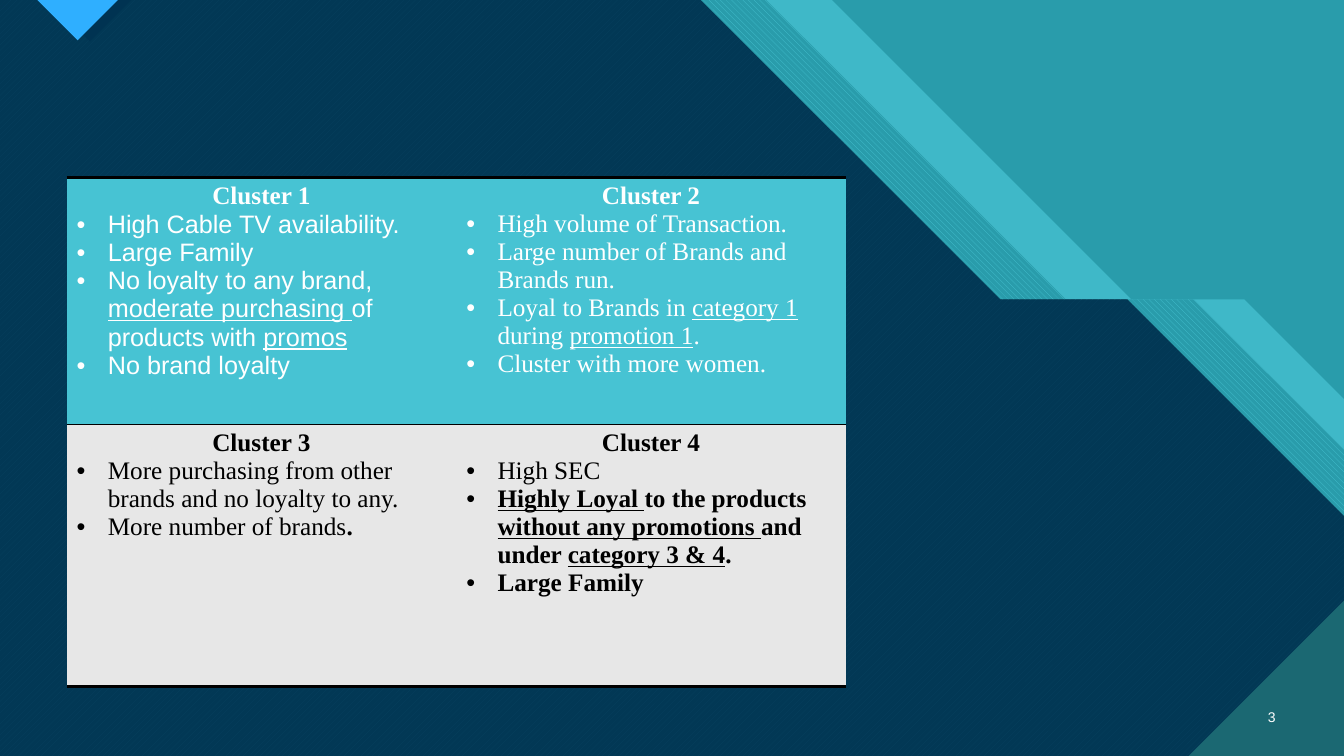
from lxml import etree
from pptx import Presentation
from pptx import util as u
from pptx.dml import color
from pptx.enum import dml, shapes, text
from pptx.oxml import ns

WIDTH, HEIGHT = 13.33, 7.5
NAVY, TEAL, AQUA, DEEP = "003352", "299CAB", "47C3D3", "1B6872"
WHITE, BLACK, GREY, SKY = "FFFFFF", "000000", "E7E7E7", "2FAFFF"
SERIF, SANS = "Times New Roman", "Arial"
NO_STYLE = "{2D5ABB26-0587-4C30-8999-92F81FD0307C}"

CLUSTERS = [
    [("Cluster 1", SANS, ["High Cable TV availability.", "Large Family",
      "No loyalty to any brand, _moderate purchasing _of products with _promos_",
      "No brand loyalty"]),
     ("Cluster 2", SERIF, ["High volume of Transaction.",
      "Large number of Brands and Brands run.",
      "Loyal to Brands in _category 1 _during _promotion 1_.",
      "Cluster with more women."])],
    [("Cluster 3", SERIF, ["More purchasing from other brands and no loyalty to any.",
      "More number of brands*.*"]),
     ("Cluster 4", SERIF, ["High SEC",
      "*_Highly Loyal _to the products _without any promotions _"
      "and under _category 3 & 4_.*",
      "*Large Family*"])],
]
ROW_STYLES = [(AQUA, WHITE, 1), (GREY, BLACK, 2)]


def rgb(value):
    return color.RGBColor.from_string(value)


def element(parent, tag, **attributes):
    return etree.SubElement(parent, ns.qn(tag), attributes)


def polygon(page, points, fill, alpha=None, pattern=None):
    points = [(u.Inches(x), u.Inches(y)) for x, y in points]
    builder = page.shapes.build_freeform(*points[0])
    builder.add_line_segments(points[1:], close=True)
    shape = builder.convert_to_shape()
    shape.shadow.inherit = False
    shape.line.fill.background()
    if pattern:
        shape.fill.patterned()
        shape.fill.pattern = pattern
        shape.fill.fore_color.rgb, shape.fill.back_color.rgb = map(rgb, fill)
    else:
        shape.fill.solid()
        shape.fill.fore_color.rgb = rgb(fill)
    if alpha:
        tint = shape.fill._xPr.find(".//" + ns.qn("a:srgbClr"))
        element(tint, "a:alpha", val=str(alpha * 1000))


def backdrop(page, left, top, width, height):
    right, bottom = left + width, top + height
    step = 2.97

    def folded(start, knee):
        return [(left, top), (left + start, top), (left + start + step, top + step),
                (left + knee, top + step), (right, top + step + width - knee),
                (right, bottom), (left, bottom)]

    polygon(page, [(left, top), (right, top), (right, bottom), (left, bottom)], TEAL)
    polygon(page, folded(8.25, 12.34), AQUA, alpha=74)
    polygon(page, folded(7.6, 11.84), (AQUA, TEAL),
            pattern=dml.MSO_PATTERN.WIDE_DOWNWARD_DIAGONAL)
    navy = folded(6.95, 11.18)
    polygon(page, navy, (AQUA, DEEP), pattern=dml.MSO_PATTERN.WIDE_UPWARD_DIAGONAL)
    polygon(page, navy, NAVY, alpha=90)
    for start, size, fill in [(0.48, 0.41, NAVY), (0.37, 0.4, SKY)]:
        polygon(page, [(left + start, top), (left + start + size, top + size),
                       (left + start + 2 * size, top)], fill)
    corner = 1.54
    polygon(page, [(right - corner, bottom), (right, bottom),
                   (right, bottom - corner)], DEEP)


def style(span, font, size, fill, bold=False, underline=False):
    span.font.name, span.font.size = font, u.Pt(size)
    span.font.bold, span.font.underline = bold, underline
    span.font.color.rgb = rgb(fill)


def write_marked(para, words, font, fill):
    underline = False
    for part, chunk in enumerate(words.split("*")):
        for index, piece in enumerate(chunk.split("_")):
            underline ^= index > 0
            if piece:
                span = para.add_run()
                span.text = piece
                style(span, font, 18, fill, part % 2 == 1, underline)


def write_cluster(cell, title, font, items, fill):
    frame = cell.text_frame
    frame.text = title
    frame.paragraphs[0].alignment = text.PP_ALIGN.CENTER
    style(frame.paragraphs[0].runs[0], SERIF, 18, fill, bold=True)
    indent = u.Inches(0.31)
    for item in items:
        para = frame.add_paragraph()
        layout = para._p.get_or_add_pPr()
        layout.set("marL", str(indent))
        layout.set("indent", str(-indent))
        element(layout, "a:buFont", typeface=SANS)
        element(layout, "a:buChar", char="•")
        write_marked(para, item, font, fill)


def add_border(cell, tag, points):
    properties = cell._tc.get_or_add_tcPr()
    line = element(properties, tag, w=str(u.Pt(points)))
    element(element(line, "a:solidFill"), "a:srgbClr", val=BLACK)


def cluster_table(page, left, top, width, heights):
    frame = page.shapes.add_table(2, 2, u.Inches(left), u.Inches(top),
                                  u.Inches(width), u.Inches(sum(heights)))
    table = frame.table
    table._tbl.tblPr.find(ns.qn("a:tableStyleId")).text = NO_STYLE
    for column in table.columns:
        column.width = u.Inches(width / 2)
    for row, height, clusters, look in zip(table.rows, heights, CLUSTERS, ROW_STYLES):
        row.height = u.Inches(height)
        fill, ink, rule = look
        for cell, cluster in zip(row.cells, clusters):
            if clusters is CLUSTERS[0]:
                add_border(cell, "a:lnT", 2)
            add_border(cell, "a:lnB", rule)
            cell.fill.solid()
            cell.fill.fore_color.rgb = rgb(fill)
            write_cluster(cell, *cluster, ink)


def page_number(page, number, left, top, width, height):
    box = page.shapes.add_textbox(*map(u.Inches, (left, top, width, height)))
    frame = box.text_frame
    frame.word_wrap = True
    frame.vertical_anchor = text.MSO_ANCHOR.MIDDLE
    frame.text = number
    frame.paragraphs[0].alignment = text.PP_ALIGN.RIGHT
    style(frame.paragraphs[0].runs[0], SANS, 10, WHITE)


deck = Presentation()
deck.slide_width, deck.slide_height = u.Inches(WIDTH), u.Inches(HEIGHT)
page = deck.slides.add_slide(deck.slide_layouts[6])
backdrop(page, 0, 0, WIDTH, HEIGHT)
cluster_table(page, 0.66, 1.76, 7.73, [2.45, 2.6])
page_number(page, "3", 12.31, 6.91, 0.44, 0.4)
deck.save("out.pptx")
